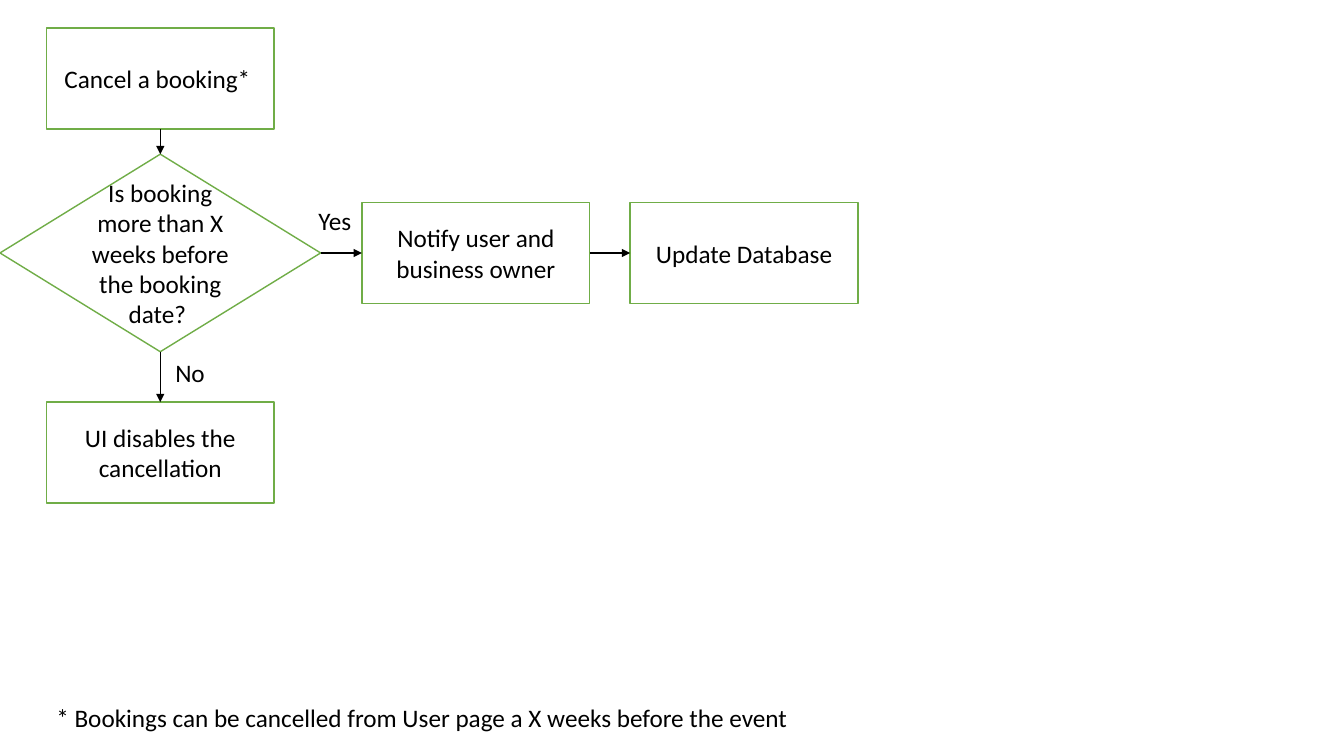
from lxml import etree
from pptx import Presentation
from pptx.dml.color import RGBColor
from pptx.enum.shapes import MSO_CONNECTOR, MSO_SHAPE
from pptx.enum.text import MSO_ANCHOR, PP_ALIGN
from pptx.oxml.ns import qn
from pptx.util import Pt

PX = 9144  # EMU, 100 px to the inch
BLACK = RGBColor(0x00, 0x00, 0x00)
WHITE = RGBColor(0xFF, 0xFF, 0xFF)
GREEN = RGBColor(0x70, 0xAD, 0x47)

RECT = MSO_SHAPE.RECTANGLE
DECISION = MSO_SHAPE.FLOWCHART_DECISION
STRAIGHT = MSO_CONNECTOR.STRAIGHT
CENTER = PP_ALIGN.CENTER
MIDDLE = MSO_ANCHOR.MIDDLE

TOP, LEFT, BOTTOM, RIGHT = range(4)  # connection sites
BOX_W, BOX_H = 226, 100
BOX_X, ROW_Y = 46, 201


def px(*lengths):
    return [n * PX for n in lengths]


def write(sp, text, wrap=True):
    tf = sp.text_frame
    tf.word_wrap = wrap
    p = tf.paragraphs[0]
    p.text = text
    p.font.name = "Calibri"
    p.font.size = Pt(18)
    p.font.color.rgb = BLACK
    return tf


def add_step(slide, text, x, y, w=BOX_W, h=BOX_H, kind=RECT):
    sp = slide.shapes.add_shape(kind, *px(x, y, w, h))
    sp.shadow.inherit = False
    sp.fill.solid()
    sp.fill.fore_color.rgb = WHITE
    sp.line.color.rgb = GREEN
    sp.line.width = Pt(1)
    tf = write(sp, text)
    tf.vertical_anchor = MIDDLE
    tf.paragraphs[0].alignment = CENTER
    return sp


def add_label(slide, text, x, y, w, wrap=False):
    write(slide.shapes.add_textbox(*px(x, y, w, 40)), text, wrap)


def add_arrow(slide, start, start_site, end, end_site):
    """Glue a straight arrow between two steps."""
    line = slide.shapes.add_connector(STRAIGHT, 0, 0, 0, 0)
    line.begin_connect(start, start_site)
    line.end_connect(end, end_site)
    line.line.color.rgb = BLACK
    line.line.width = Pt(1)
    etree.SubElement(line.line._get_or_add_ln(), qn("a:tailEnd"), type="triangle")
    etree.SubElement(line._element.spPr, qn("a:effectLst"))


def main():
    prs = Presentation()
    prs.slide_width, prs.slide_height = px(1333, 750)
    slide = prs.slides.add_slide(prs.slide_layouts[6])

    # The trailing spaces shift the centred lines slightly left.
    cancel = add_step(slide, "Cancel a booking* ", BOX_X, 28)
    decision = add_step(
        slide, "Is booking more than X weeks before the booking date? ",
        0, 153, 318, 196, DECISION)
    disable = add_step(slide, "UI disables the cancellation", BOX_X, 399)
    notify = add_step(slide, "Notify user and business owner", 359, ROW_Y)
    update = add_step(slide, "Update Database", 625, ROW_Y)

    add_arrow(slide, cancel, BOTTOM, decision, TOP)
    add_arrow(slide, decision, BOTTOM, disable, TOP)
    add_arrow(slide, decision, RIGHT, notify, LEFT)
    add_arrow(slide, notify, RIGHT, update, LEFT)

    add_label(slide, "Yes", 306, 199, 53)
    add_label(slide, "No", 164, 350, 50)
    add_label(
        slide, "* Bookings can be cancelled from User page a X weeks before the event",
        BOX_X, 692, 1198, wrap=True)

    prs.save("out.pptx")


if __name__ == "__main__":
    main()
